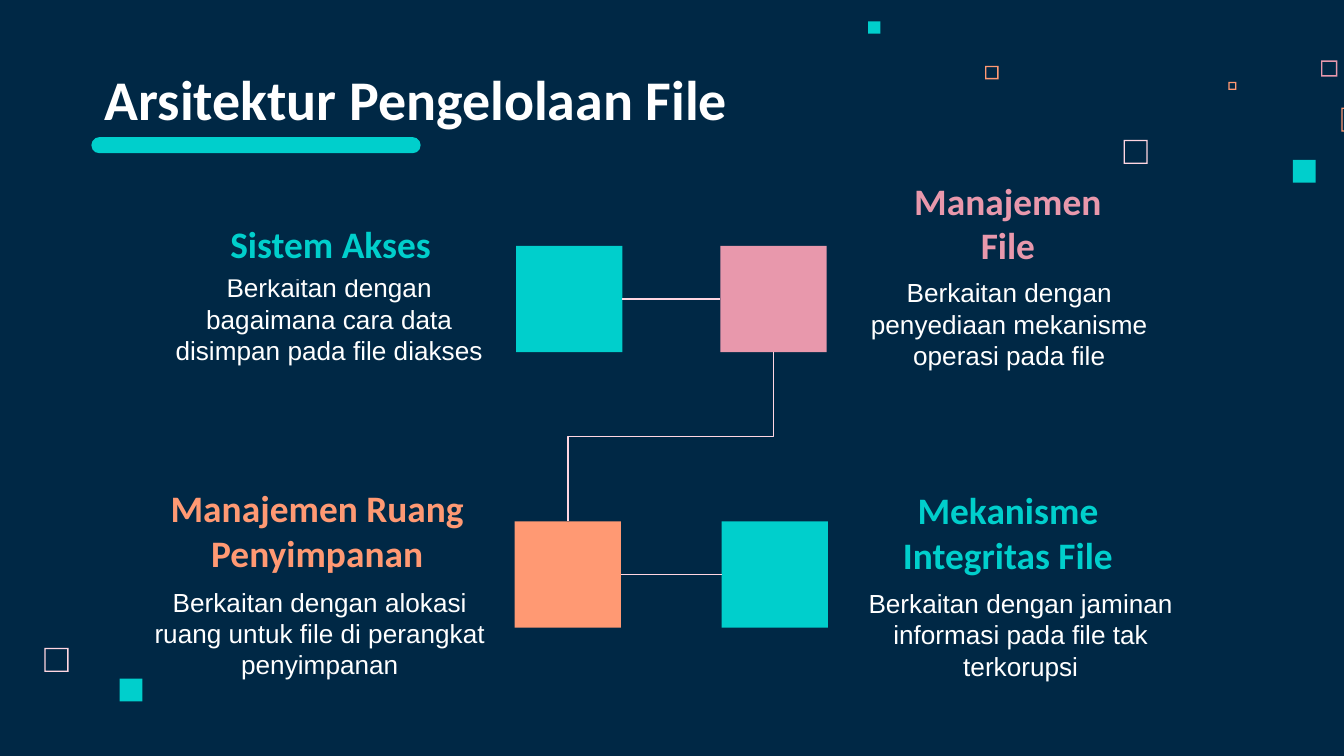
import pptx
import pptx.dml.color
import pptx.enum.shapes
import pptx.enum.text
import pptx.oxml
import pptx.oxml.ns
import pptx.util
from pptx.util import Inches

NAVY, WHITE, TEAL = "002845", "FFFFFF", "00CFCC"
PINK, ORANGE, BLUSH = "E898AC", "FF9973", "FFD6E1"
SHAPES = pptx.enum.shapes.MSO_SHAPE
ALIGN = pptx.enum.text.PP_ALIGN
ANCHOR = pptx.enum.text.MSO_ANCHOR
CONNECTOR = pptx.enum.shapes.MSO_CONNECTOR
SQUARE_SIZE = 0.79


def color(value):
    return pptx.dml.color.RGBColor.from_string(value)


def add_filled(slide, kind, left, top, width, height, fill):
    shape = slide.shapes.add_shape(
        kind, Inches(left), Inches(top), Inches(width), Inches(height))
    shape.shadow.inherit = False
    shape.fill.solid()
    shape.fill.fore_color.rgb = color(fill)
    shape.line.fill.background()
    return shape


def place_text(shape, box, text, size, font, fill, bold, align, anchor):
    shape.left, shape.top, shape.width, shape.height = map(Inches, box)
    frame = shape.text_frame
    frame.text = text
    frame.word_wrap = True
    frame.auto_size = pptx.enum.text.MSO_AUTO_SIZE.NONE
    frame.vertical_anchor = anchor
    frame.margin_left = frame.margin_right = Inches(0.1)
    frame.margin_top = frame.margin_bottom = Inches(0.1)
    paragraph = frame.paragraphs[0]
    paragraph.alignment = align
    paragraph.line_spacing = 1.0
    paragraph.space_before = pptx.util.Pt(0)
    properties = paragraph._p.get_or_add_pPr()
    properties.set("marL", "0")
    properties.set("indent", "0")
    properties.append(pptx.oxml.parse_xml(
        "<a:buNone %s/>" % pptx.oxml.ns.nsdecls("a")))
    run = paragraph.runs[0]
    run.font.size = pptx.util.Pt(size)
    run.font.name = font
    run.font.bold = bold
    run.font.color.rgb = color(fill)


def add_decorations(slide):
    outlined = [
        (8.36, 1.04, 0.18, BLUSH), (9.83, 0.45, 0.12, PINK),
        (9.14, 0.61, 0.06, ORANGE), (9.98, 0.8, 0.18, ORANGE),
        (7.33, 0.49, 0.1, ORANGE), (0.33, 4.82, 0.18, BLUSH),
    ]
    solid = [(9.62, 1.19, 0.17), (6.46, 0.16, 0.09), (0.89, 5.05, 0.17)]
    for left, top, size, fill in outlined:
        square = add_filled(slide, SHAPES.FRAME, left, top, size, size, fill)
        square.adjustments[0] = 0.01 / size
    for left, top, size in solid:
        add_filled(slide, SHAPES.RECTANGLE, left, top, size, size, TEAL)


def add_title(slide, left, top, width, height):
    place_text(slide.shapes.title, (left, top, width, height),
               "Arsitektur Pengelolaan File", 30, "Calibri", WHITE, True,
               ALIGN.LEFT, ANCHOR.BOTTOM)
    underline = add_filled(slide, SHAPES.ROUNDED_RECTANGLE,
                           left, top + 0.57, 2.45, 0.12, TEAL)
    underline.adjustments[0] = 0.5


def add_topic(slide, body, heading, description, fill, heading_box, body_box):
    label = slide.shapes.add_textbox(0, 0, 0, 0)
    if heading == "Sistem Akses":
        label.fill.solid()
        label.fill.fore_color.rgb = color(NAVY)
    place_text(label, heading_box, heading, 20, "Calibri", fill, True,
               ALIGN.CENTER, ANCHOR.BOTTOM)
    place_text(body, body_box, description, 14, "Arial", WHITE, False,
               ALIGN.CENTER, ANCHOR.TOP)


def add_link(slide, kind, start, end):
    link = slide.shapes.add_connector(kind, *map(Inches, start + end))
    link.line.color.rgb = color(BLUSH)
    link.line.width = pptx.util.Pt(0.75)
    link._element.spPr.append(pptx.oxml.parse_xml(
        "<a:effectLst %s/>" % pptx.oxml.ns.nsdecls("a")))
    return link


def add_vertical_elbow(slide, start, end):
    center_x, center_y = (start[0] + end[0]) / 2, (start[1] + end[1]) / 2
    half_drop, half_span = (end[1] - start[1]) / 2, (start[0] - end[0]) / 2
    link = add_link(slide, CONNECTOR.ELBOW,
                    (center_x - half_drop, center_y - half_span),
                    (center_x + half_drop, center_y + half_span))
    link._element.spPr.xfrm.set("rot", str(90 * 60000))


def add_flow(slide, left, top):
    lower = top + 2.05
    half = SQUARE_SIZE / 2
    squares = [
        (left + 0.01, top, TEAL), (left, lower, ORANGE),
        (left + 1.53, top, PINK), (left + 1.54, lower, TEAL),
    ]
    for square_left, square_top, fill in squares:
        add_filled(slide, SHAPES.RECTANGLE, square_left, square_top,
                   SQUARE_SIZE, SQUARE_SIZE, fill)
    add_link(slide, CONNECTOR.ELBOW,
             (left + 0.01 + SQUARE_SIZE, top + half), (left + 1.53, top + half))
    add_vertical_elbow(slide, (left + 1.53 + half, top + SQUARE_SIZE),
                       (left + half, lower))
    add_link(slide, CONNECTOR.STRAIGHT,
             (left + SQUARE_SIZE, lower + half), (left + 1.54, lower + half))


def build_architecture_slide(presentation):
    slide = presentation.slides.add_slide(
        presentation.slide_layouts.get_by_name("Comparison"))
    slide.background.fill.solid()
    slide.background.fill.fore_color.rgb = color(NAVY)
    topics = [
        ("Sistem Akses",
         "Berkaitan dengan bagaimana cara data disimpan pada file diakses",
         TEAL, (1.43, 1.37, 2.06, 0.71), (1.11, 1.92, 2.68, 0.71)),
        ("Manajemen File",
         "Berkaitan dengan penyediaan mekanisme operasi pada file",
         PINK, (6.48, 1.38, 2.04, 0.71), (6.26, 1.96, 2.5, 0.71)),
        ("Manajemen Ruang Penyimpanan",
         "Berkaitan dengan alokasi ruang untuk file di perangkat penyimpanan",
         ORANGE, (1.15, 3.67, 2.42, 0.71), (1.04, 4.26, 2.68, 0.71)),
        ("Mekanisme Integritas File",
         "Berkaitan dengan jaminan informasi pada file tak terkorupsi",
         TEAL, (6.47, 3.68, 2.06, 0.71), (6.26, 4.27, 2.67, 0.71)),
    ]
    add_decorations(slide)
    add_title(slide, 0.68, 0.45, 6.44, 0.63)
    for index, topic in enumerate(topics, start=1):
        add_topic(slide, slide.placeholders[index], *topic)
    add_flow(slide, 3.83, 1.83)
    for placeholder in list(slide.placeholders):
        if not placeholder.text_frame.text:
            placeholder._element.getparent().remove(placeholder._element)


def main():
    presentation = pptx.Presentation()
    presentation.slide_width = Inches(10)
    presentation.slide_height = Inches(10) * 9 // 16
    build_architecture_slide(presentation)
    presentation.save("out.pptx")


if __name__ == "__main__":
    main()
